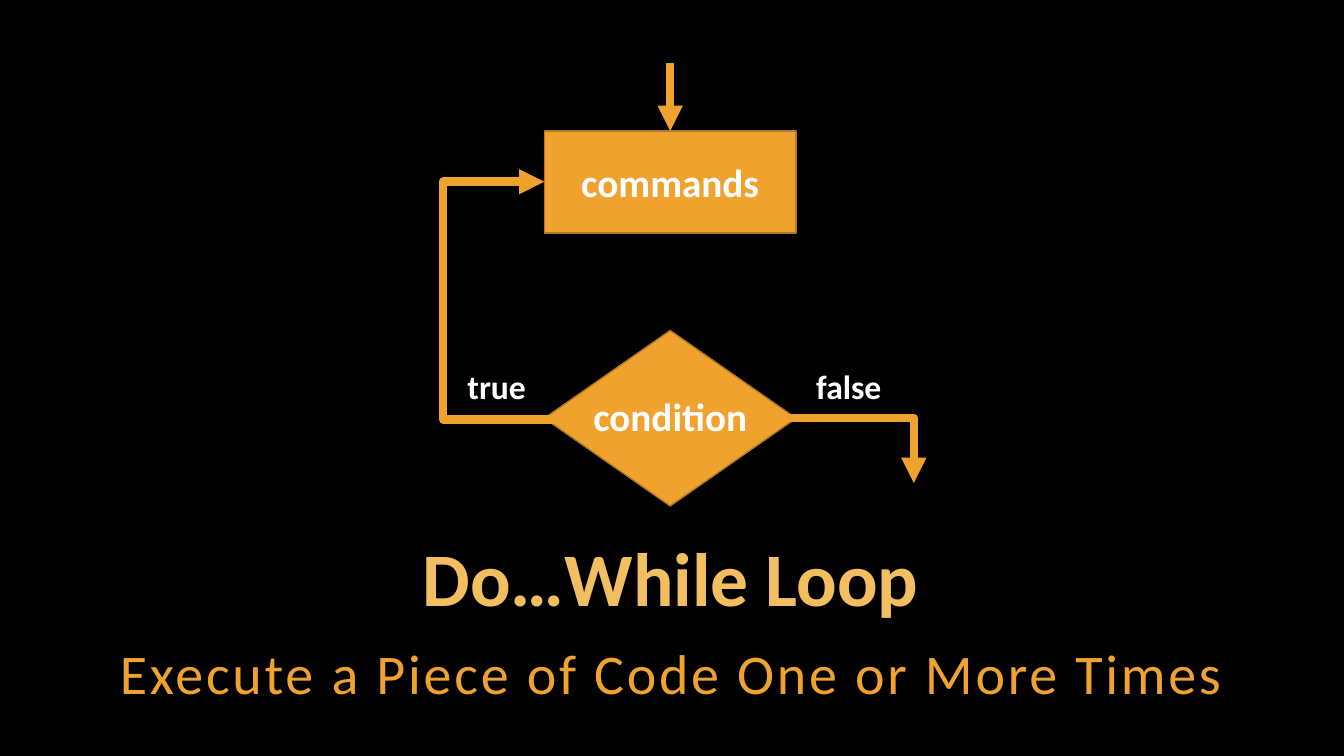
import pptx
import pptx.util
import pptx.dml.color
import pptx.enum.shapes
import pptx.enum.text
import pptx.oxml
import pptx.oxml.ns

Cm, Pt = pptx.util.Cm, pptx.util.Pt
SHAPES = pptx.enum.shapes.MSO_SHAPE
LINES = pptx.enum.shapes.MSO_CONNECTOR
ALIGN = pptx.enum.text.PP_ALIGN
ANCHOR = pptx.enum.text.MSO_ANCHOR
ORANGE, WHITE = "F0A22E", "FFFFFF"


def paint(target, color):
    """Give a fill a solid colour."""
    target.solid()
    target.fore_color.rgb = pptx.dml.color.RGBColor.from_string(color)


def add_text(page, text, place, size, color, bold, frame_format, para_format):
    """Add a one-line text box and return its run."""
    box = page.shapes.add_textbox(*map(Cm, place))
    for name, value in frame_format.items():
        setattr(box.text_frame, name, value)
    para = box.text_frame.paragraphs[0]
    for name, value in para_format.items():
        setattr(para, name, value)
    span = para.add_run()
    span.text = text
    for name, value in {"name": "Calibri", "size": Pt(size), "bold": bold}.items():
        setattr(span.font, name, value)
    paint(span.font.fill, color)
    return span


deck = pptx.Presentation()
deck.slide_width, deck.slide_height = Cm(33.87), Cm(19.05)
page = deck.slides.add_slide(deck.slide_layouts[6])
paint(page.background.fill, "000000")

# Title and subtitle
margins = dict.fromkeys(
    ["margin_left", "margin_right", "margin_top", "margin_bottom"], Cm(0.1))
heading = {"word_wrap": True, **margins}
add_text(page, "Do…While Loop", (3.25, 13.64, 27.31, 2.16), 54, "F3BE60", True,
         {**heading, "vertical_anchor": ANCHOR.MIDDLE},
         {"alignment": ALIGN.CENTER, "line_spacing": Pt(54)})
subtitle = add_text(
    page, "Execute a Piece of Code One or More Times", (1.9, 15.9, 30.05, 2.01),
    40, ORANGE, False, heading,
    {"alignment": ALIGN.CENTER, "line_spacing": 1.05, "space_after": Pt(6)})
subtitle.font._element.set("spc", "200")

# Flowchart blocks, one above the other
left, width = 13.72, 6.34
center = left + width / 2
blocks = {}
for name, kind, top, height in [
    ("condition", SHAPES.FLOWCHART_DECISION, 8.33, 4.42),
    ("commands", SHAPES.RECTANGLE, 3.3, 2.57),
]:
    block = page.shapes.add_shape(kind, Cm(left), Cm(top), Cm(width), Cm(height))
    block.shadow.inherit = False
    paint(block.fill, ORANGE)
    paint(block.line.fill, "B27822")
    block.line.width = Pt(1)
    blocks[name] = block

# Arrows: entry, loop back when true, exit when false
# The bend is the distance to the turn as a share of the horizontal span
for kind, start, end, bend, target in [
    (LINES.STRAIGHT, (center, 1.6), (center, 3.3), None, blocks["commands"]),
    (LINES.ELBOW, (14.55, 10.57), (left, 4.58), (14.55 - 11.17) / (14.55 - left), None),
    (LINES.ELBOW, (19.63, 10.54), (23.03, 12.17), 1, None),
]:
    arrow = page.shapes.add_connector(kind, *map(Cm, start + end))
    if target:
        arrow.end_connect(target, 0)
    paint(arrow.line.fill, ORANGE)
    arrow.line.width = Pt(6)
    properties = arrow._element.spPr
    line = properties.find(pptx.oxml.ns.qn("a:ln"))
    line.append(pptx.oxml.parse_xml(
        f'<a:tailEnd {pptx.oxml.ns.nsdecls("a")} type="triangle"/>'))
    properties.append(pptx.oxml.parse_xml(
        f'<a:effectLst {pptx.oxml.ns.nsdecls("a")}/>'))
    if bend:
        guides = properties.find(".//" + pptx.oxml.ns.qn("a:avLst"))
        guides.append(pptx.oxml.parse_xml(
            f'<a:gd {pptx.oxml.ns.nsdecls("a")} name="adj1" '
            f'fmla="val {round(bend * 100000)}"/>'))

# Labels
for text, place, size, align in [
    ("condition", (center - 2.22, 9.75, 4.44, 1.45), 28, ALIGN.CENTER),
    ("commands", (center - 2.52, 3.86, 5.04, 1.45), 28, ALIGN.CENTER),
    ("false", (20.32, 9.09, 2.18, 1.27), 24, ALIGN.LEFT),
    ("true", (11.53, 9.09, 2.01, 1.27), 24, ALIGN.LEFT),
]:
    add_text(page, text, place, size, WHITE, True,
             {"word_wrap": False}, {"alignment": align})

deck.save("out.pptx")
